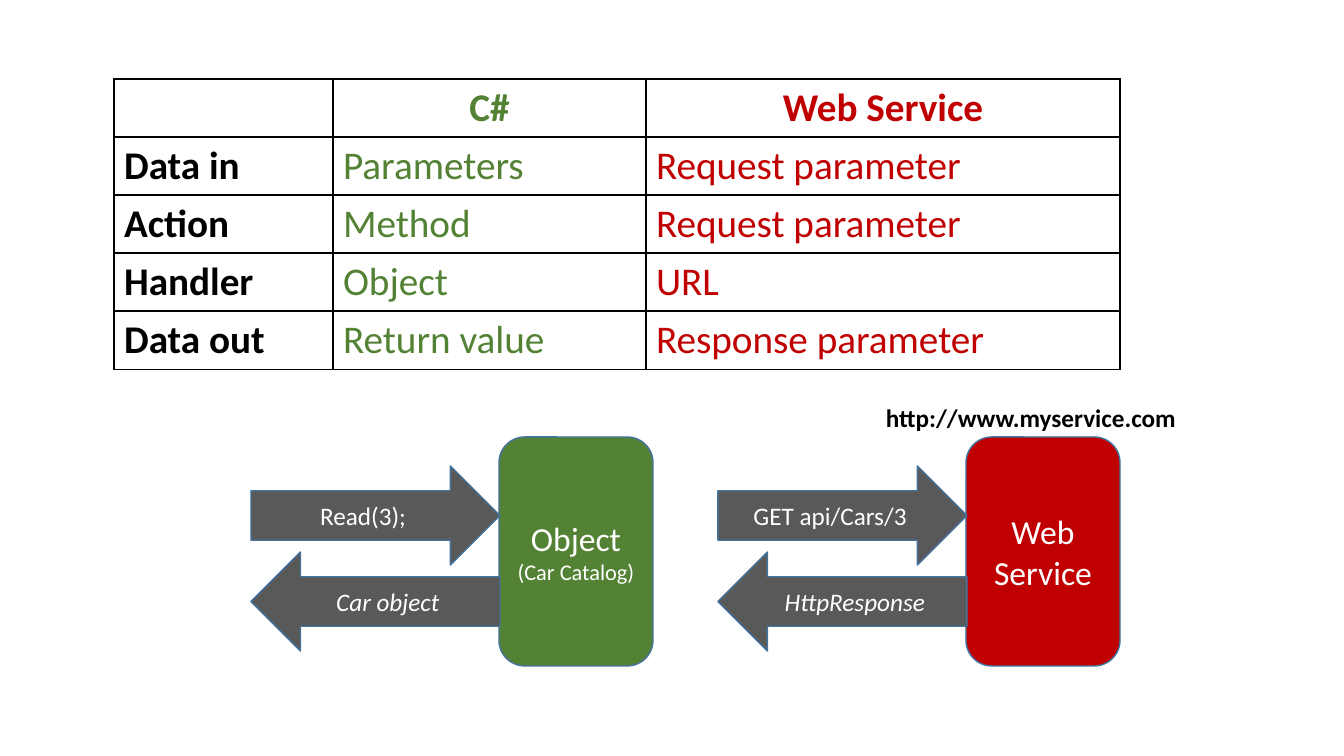
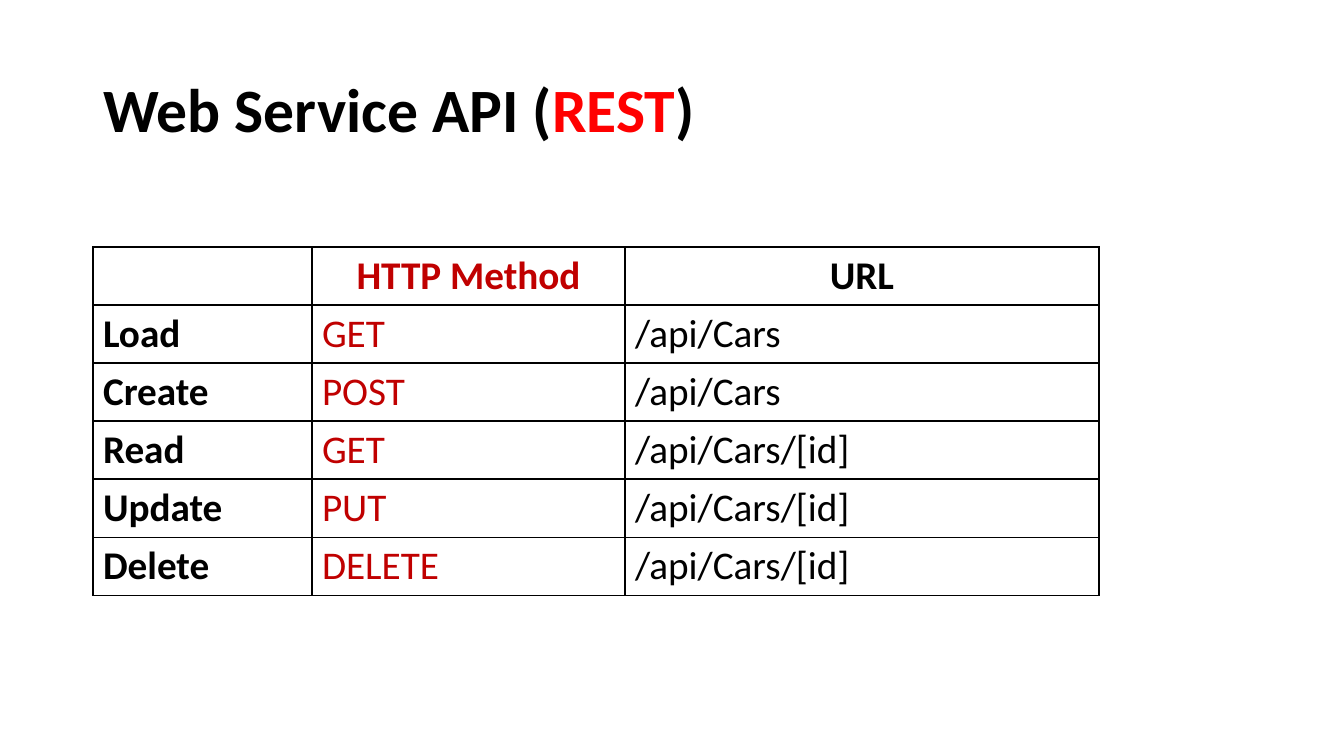
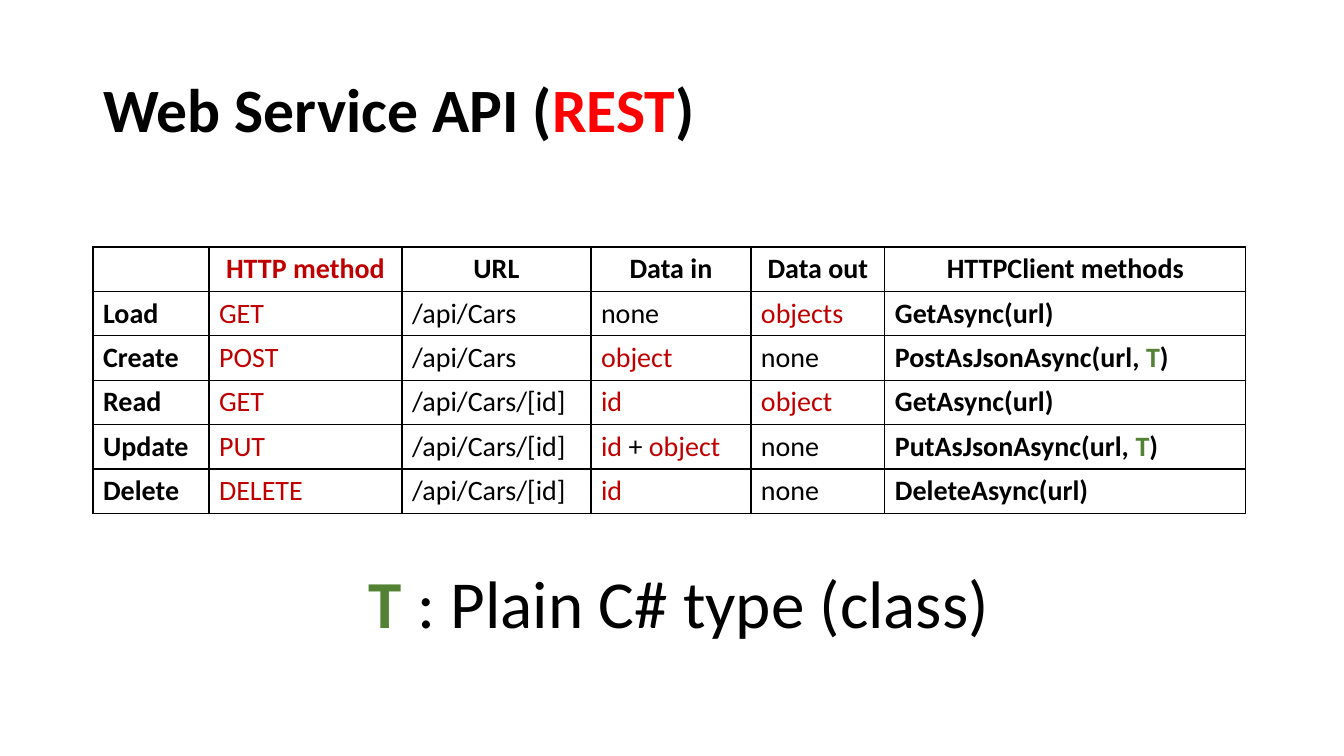
from dataclasses import dataclass

from lxml.etree import SubElement
from pptx import Presentation
from pptx.dml.color import RGBColor
from pptx.enum.shapes import MSO_SHAPE
from pptx.enum.text import MSO_ANCHOR, MSO_AUTO_SIZE, PP_ALIGN
from pptx.oxml.ns import qn
from pptx.util import Emu, Pt


@dataclass(frozen=True)
class Theme:
    font: str = "Calibri"
    black: str = "000000"
    white: str = "FFFFFF"
    green: str = "548235"
    red: str = "C00000"
    accent: str = "FF0000"
    gray: str = "595959"
    outline: str = "43739E"
    note: int = 48
    title: int = 44
    table: int = 28
    box: int = 24
    small_table: int = 20
    label: int = 18
    caption: int = 16


T = Theme()
PX = 914400 / 100.8


def px(*values):
    return [Emu(round(v * PX)) for v in values]


def add_run(p, text, size, color, bold=False, italic=False):
    r = p.add_run()
    r.text = text
    r.font.name = T.font
    r.font.size = Pt(size)
    r.font.bold = bold
    r.font.italic = italic
    r.font.color.rgb = RGBColor.from_string(color)


prs = Presentation()
prs.slide_width, prs.slide_height = px(1344, 756)
compare_slide = prs.slides.add_slide(prs.slide_layouts[6])
api_slide = prs.slides.add_slide(prs.slide_layouts[5])
client_slide = prs.slides.add_slide(prs.slide_layouts[5])

for s in (api_slide, client_slide):
    sp = s.shapes.title
    sp.left, sp.top, sp.width, sp.height = px(93, 40, 1159, 146)
    tf = sp.text_frame
    tf.auto_size = MSO_AUTO_SIZE.NONE
    tf.vertical_anchor = MSO_ANCHOR.MIDDLE
    p = tf.paragraphs[0]
    p.alignment = PP_ALIGN.LEFT
    p.line_spacing = 0.9
    add_run(p, "Web Service API (", T.title, T.black, True)
    add_run(p, "REST", T.title, T.accent, True)
    add_run(p, ")", T.title, T.black, True)

compare_rows = [
    ["", "C#", "Web Service"],
    ["Data in", "Parameters", "Request parameter"],
    ["Action", "Method", "Request parameter"],
    ["Handler", "Object", "URL"],
    ["Data out", "Return value", "Response parameter"],
]
api_rows = [
    ["", "HTTP Method", "URL"],
    ["Load", "GET", "/api/Cars"],
    ["Create", "POST", "/api/Cars"],
    ["Read", "GET", "/api/Cars/[id]"],
    ["Update", "PUT", "/api/Cars/[id]"],
    ["Delete", "DELETE", "/api/Cars/[id]"],
]
type_arg = [("T", T.green), (")", T.black)]
id_cell = [("id", T.red)]
object_cell = [("object", T.red)]
client_columns = [
    ["Data in", "Data out", "HTTPClient methods"],
    ["none", [("objects", T.red)], "GetAsync(url)"],
    [object_cell, "none", [("PostAsJsonAsync(url, ", T.black)] + type_arg],
    [id_cell, object_cell, "GetAsync(url)"],
    [id_cell + [(" + ", T.black)] + object_cell, "none",
     [("PutAsJsonAsync(url, ", T.black)] + type_arg],
    [id_cell, "none", "DeleteAsync(url)"],
]
client_rows = [a + b for a, b in zip(api_rows, client_columns)]
client_rows[0][1] = "HTTP method"

tables = [
    (compare_slide, 114, 79, 58, T.table, [219, 313, 474],
     [T.black, T.green, T.red], [0], compare_rows),
    (api_slide, 93, 247, 58, T.table, [219, 313, 474],
     [T.black, T.red, T.black], [0], api_rows),
    (client_slide, 93, 247, 44, T.small_table, [116, 193, 189, 160, 134, 361],
     [T.black, T.red] + [T.black] * 4, [0, 5], client_rows),
]
for s, x, y, row_h, size, widths, colors, bold_cols, rows in tables:
    box = px(x, y, sum(widths), row_h * len(rows))
    table = s.shapes.add_table(len(rows), len(widths), *box).table
    table.first_row = table.horz_banding = False
    for column, width in zip(table.columns, px(*widths)):
        column.width = width
    for i, row in enumerate(rows):
        table.rows[i].height = px(row_h)[0]
        for j, content in enumerate(row):
            cell = table.cell(i, j)
            tcPr = cell._tc.get_or_add_tcPr()
            for side in ("a:lnL", "a:lnR", "a:lnT", "a:lnB"):
                ln = SubElement(tcPr, qn(side), w=str(Pt(1)))
                fill = SubElement(ln, qn("a:solidFill"))
                SubElement(fill, qn("a:srgbClr"), val=T.black)
            cell.fill.solid()
            cell.fill.fore_color.rgb = RGBColor.from_string(T.white)
            if not content:
                continue
            p = cell.text_frame.paragraphs[0]
            p.alignment = PP_ALIGN.CENTER if i == 0 else PP_ALIGN.LEFT
            runs = [(content, colors[j])] if isinstance(content, str) else content
            for text, color in runs:
                add_run(p, text, size, color, i == 0 or j in bold_cols)

diagrams = [
    (251, T.green, [("Object", T.box), ("(Car Catalog)", T.caption)],
     "Read(3);", "Car object"),
    (718, T.red, [("Web Service", T.box)], "GET api/Cars/3", "HttpResponse"),
]
for x, color, lines, request, response in diagrams:
    parts = [
        (MSO_SHAPE.ROUNDED_RECTANGLE, (x + 248, 437, 154, 229), color, lines, False),
        (MSO_SHAPE.RIGHT_ARROW, (x, 466, 249, 99), T.gray, [(request, T.label)], False),
        (MSO_SHAPE.LEFT_ARROW, (x, 552, 249, 99), T.gray, [(response, T.label)], True),
    ]
    for kind, box, fill, texts, italic in parts:
        sp = compare_slide.shapes.add_shape(kind, *px(*box))
        sp.shadow.inherit = False
        sp.fill.solid()
        sp.fill.fore_color.rgb = RGBColor.from_string(fill)
        sp.line.color.rgb = RGBColor.from_string(T.outline)
        sp.line.width = Pt(1)
        tf = sp.text_frame
        tf.word_wrap = True
        tf.vertical_anchor = MSO_ANCHOR.MIDDLE
        for i, (text, size) in enumerate(texts):
            p = tf.add_paragraph() if i else tf.paragraphs[0]
            p.alignment = PP_ALIGN.CENTER
            add_run(p, text, size, T.white, italic=italic)

notes = [
    (compare_slide, (876, 397, 395, 40), True, T.label,
     [("http://www.myservice.com", T.black, True)]),
    (client_slide, (359, 556, 647, 92), False, T.note,
     [("T ", T.green, True), (": Plain C# type (class)", T.black, False)]),
]
for s, box, wrap, size, runs in notes:
    tf = s.shapes.add_textbox(*px(*box)).text_frame
    tf.word_wrap = wrap
    tf.auto_size = MSO_AUTO_SIZE.SHAPE_TO_FIT_TEXT
    for text, color, bold in runs:
        add_run(tf.paragraphs[0], text, size, color, bold)

prs.save("out.pptx")
